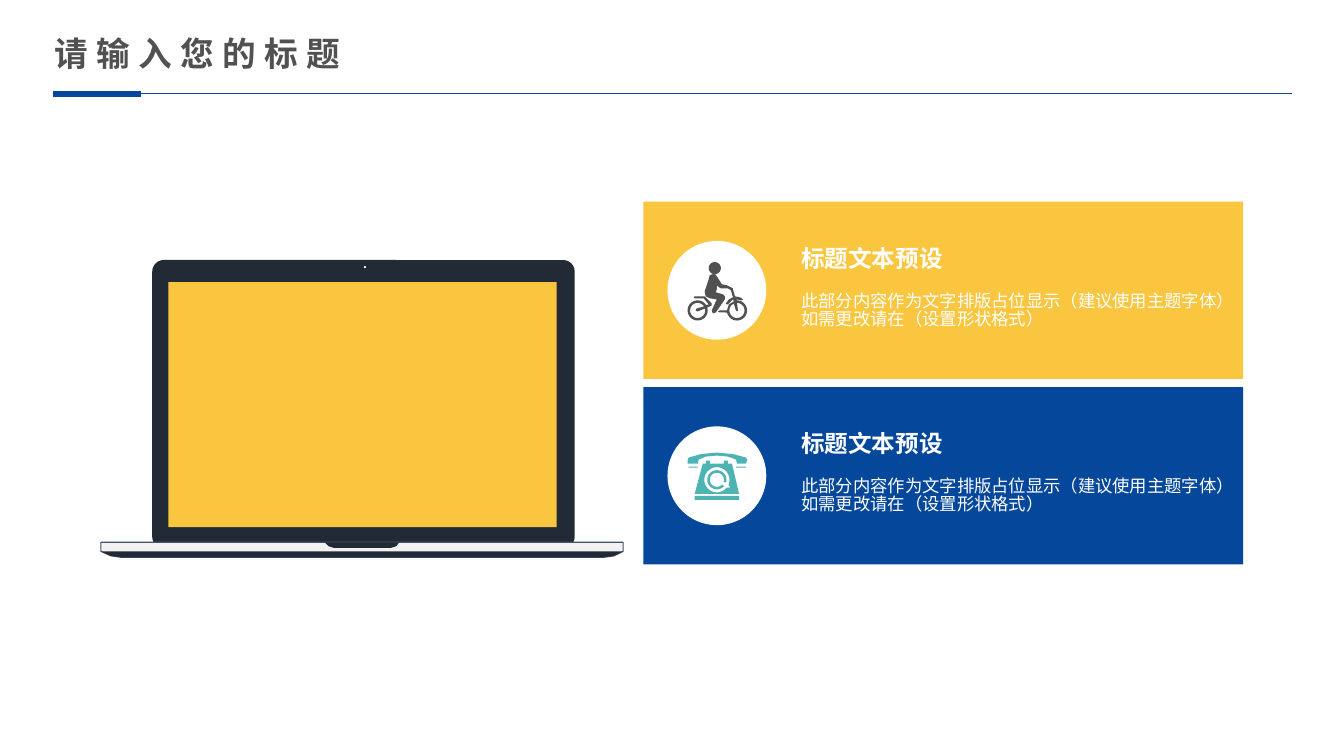
"""Build a slide with a laptop and two captioned feature panels."""
import math

import pptx
import pptx.dml.color
import pptx.enum.shapes
import pptx.enum.text
import pptx.oxml.ns
import pptx.util
from lxml import etree

RGB = pptx.dml.color.RGBColor
BLUE = RGB(0x05, 0x48, 0x9B)
YELLOW = RGB(0xFB, 0xC6, 0x3F)
TEAL = RGB(0x4D, 0xB4, 0xB3)
GREY = RGB(0x51, 0x51, 0x51)
NAVY = RGB(0x22, 0x2A, 0x35)
SLATE = RGB(0x44, 0x54, 0x6A)
PALE = RGB(0xF2, 0xF2, 0xF2)
WHITE = RGB(0xFF, 0xFF, 0xFF)

FONT = "Noto Sans CJK SC"
KIND = pptx.enum.shapes.MSO_SHAPE
ANCHOR = pptx.enum.text.MSO_ANCHOR
COLUMNS, ROWS = 1333, 750
CELL = pptx.util.Inches(0.01)
PANEL_TOP, PANEL_STEP, PANEL_HEIGHT = 200, 184, 176
HEADING = "标题文本预设"
BODY = "此部分内容作为文字排版占位显示（建议使用主题字体）\v如需更改请在（设置形状格式）"


def cells(*counts):
    """Turn counts of grid cells into lengths."""
    return [round(count * CELL) for count in counts]


def arc(x, y, radius, start=0, end=360):
    """Return points along an arc, clockwise in degrees from the right."""
    steps = max(4, round(abs(end - start) / 10))
    angles = [math.radians(start + (end - start) * i / steps) for i in range(steps + 1)]
    return [(x + radius * math.cos(a), y + radius * math.sin(a)) for a in angles]


def box(left, top, right, bottom):
    """Return the corners of a rectangle."""
    return [(left, top), (right, top), (right, bottom), (left, bottom)]


def bike_contours():
    """Return the outlines of the rider on a motorbike."""
    rear_hole = arc(10, 48, 7.5, -15, 328) + [(9, 46), (8, 48), (10, 49)]
    front_hole = arc(49, 48, 7.5, -90, 245) + [(48, 48), (49, 49), (50, 48)]
    rear = [(7, 34), (17, 34), (24, 41), (24, 43), *arc(10, 48, 10, -17, 328),
            (21, 42), (16, 36), (7, 36), (6, 35)]
    rider = [(25, 12), (27, 12), (29, 14), (34, 22), (39, 23), (41, 24), (45, 26),
             (45, 27), (47, 34), (52, 35), (55, 37), (54, 38), (48, 37),
             *arc(49, 48, 10, -90, 168), (32, 50), (30, 49), (32, 48), (39, 48),
             (41, 42), (46, 39), (45, 37), (40, 42), (39, 42), (38, 41), (41, 37),
             (45, 35), (43, 28), (40, 26), (33, 26), (31, 25), (29, 23), (29, 27),
             (28, 30), (35, 32), (37, 34), (37, 37), (28, 50), (25, 51), (24, 48),
             (29, 37), (22, 36), (18, 34), (17, 29), (21, 17), (22, 13)]
    return [rear, rear_hole, front_hole, rider, arc(27, 6, 6)]


def phone_contours():
    """Return the outlines of the dial telephone."""
    handset = [(29, 0), (45, 1.5), (58, 5), (59, 7), (58, 11), (49, 11), (48, 7),
               (40, 4), (29, 3), (18, 4), (11, 7), (10, 11), (0, 11), (0, 7),
               (1, 5), (13, 1.5)]
    case = [(18, 8), (22, 8), (22, 11), (36, 11), (36, 8), (40, 8), (40, 11),
            (44, 11), (51, 41), (7, 41), (15, 11), (18, 11)]
    dial = arc(29, 27, 12.5, 38, 383) + [(42, 34), (41, 35)]
    ring = arc(29, 27, 9.5, 42, 378) + arc(29, 27, 7, 378, 42)
    return [box(7, 43, 51, 47), handset, case, dial, ring,
            box(1, 14, 10, 15), box(48, 14, 58, 15)]


def paint(shape, fill=None, line=None):
    """Give a shape a flat fill or a thin outline."""
    shape.shadow.inherit = False
    if fill is None:
        shape.fill.background()
    else:
        shape.fill.solid()
        shape.fill.fore_color.rgb = fill
    if line is None:
        shape.line.fill.background()
    else:
        shape.line.color.rgb = line
        shape.line.width = pptx.util.Pt(0.79)
    return shape


def add_block(slide, kind, area, fill):
    """Add a flat preset shape on a grid area."""
    return paint(slide.shapes.add_shape(kind, *cells(*area)), fill)


def add_outline(slide, left, top, contours, fill=None, line=None):
    """Add a closed freeform whose contours start from a grid point."""
    first, *others = [[cells(left + x, top + y) for x, y in c] for c in contours]
    builder = slide.shapes.build_freeform(*first[0])
    builder.add_line_segments(first[1:])
    for contour in others:
        builder.move_to(*contour[0])
        builder.add_line_segments(contour[1:])
    return paint(builder.convert_to_shape(), fill, line)


def style_text(frame, size, colour, bold, anchor, inset=None):
    """Format the whole text of a frame."""
    frame.word_wrap = True
    frame.auto_size = pptx.enum.text.MSO_AUTO_SIZE.NONE
    frame.vertical_anchor = anchor
    if inset is not None:
        frame.margin_left = frame.margin_right = inset
        frame.margin_top = frame.margin_bottom = inset
    for paragraph in frame.paragraphs:
        paragraph.alignment = pptx.enum.text.PP_ALIGN.LEFT
        for run in paragraph.runs:
            run.font.name, run.font.size = FONT, pptx.util.Pt(size)
            run.font.bold, run.font.color.rgb = bold, colour
            east_asian = etree.SubElement(run.font._element, pptx.oxml.ns.qn("a:ea"))
            east_asian.set("typeface", FONT)


def add_caption(slide, area, words, size, bold, anchor):
    """Add a white caption in a text box."""
    frame = slide.shapes.add_textbox(*cells(*area)).text_frame
    frame.paragraphs[0].text = words
    style_text(frame, size, WHITE, bold, anchor, cells(10)[0])
    return frame


def add_rule(slide, start, end, row, width):
    """Add a horizontal blue rule."""
    rule = slide.shapes.add_connector(
        pptx.enum.shapes.MSO_CONNECTOR.STRAIGHT, *cells(start, row, end, row))
    rule.line.color.rgb = BLUE
    rule.line.width = pptx.util.Pt(width)
    etree.SubElement(rule._element.spPr, pptx.oxml.ns.qn("a:effectLst"))


def add_laptop(slide):
    """Draw the laptop with its screen, base and camera."""
    lid = add_block(slide, KIND.ROUNDED_RECTANGLE, (151, 258, 419, 286), NAVY)
    lid.adjustments[0] = 0.04
    add_block(slide, KIND.RECTANGLE, (100, 538, 518, 9), PALE)
    tray = [(0, 9), (10, 13.5), (21, 15), (498, 15), (509, 13.5), (518, 9)]
    add_outline(slide, 100, 538, [[(0, 0), *tray, (518, 0), (0, 0)]], line=SLATE)
    add_outline(slide, 100, 538, [tray], NAVY)
    notch = [(0, 0), (4, 4), (9, 5.5), (66, 5.5), (71, 4), (74, 0)]
    add_outline(slide, 322, 538, [notch], NAVY)
    add_block(slide, KIND.OVAL, (361, 264, 2, 2), WHITE)
    add_block(slide, KIND.RECTANGLE, (167, 280, 385, 243), YELLOW)


def add_panel(slide, index, fill, icon, icon_top, icon_fill):
    """Add one coloured panel with its icon, heading and body."""
    top = PANEL_TOP + index * PANEL_STEP
    add_block(slide, KIND.RECTANGLE, (638, top, 595, PANEL_HEIGHT), fill)
    add_block(slide, KIND.OVAL, (662, top + 39, 98, 98), WHITE)
    add_outline(slide, 682, top + icon_top, icon, icon_fill)
    add_caption(slide, (785, top + 34, 460, 46), HEADING, 16.8, True, ANCHOR.BOTTOM)
    body = add_caption(slide, (785, top + 81, 460, 62), BODY, 12.4, False, ANCHOR.TOP)
    body.paragraphs[0].line_spacing = 0.85


def add_title(slide):
    """Place the title and the rules below it."""
    add_rule(slide, 53, 140, 93, 4.5)
    add_rule(slide, 140, 1281, 93, 0.5)
    title = slide.shapes.title
    title.left, title.top, title.width, title.height = cells(44, 28, 350, 50)
    title.text_frame.text = "请输入您的标题"
    style_text(title.text_frame, 24, GREY, True, ANCHOR.MIDDLE)
    title.text_frame.paragraphs[0].runs[0].font._element.set("spc", "600")


def main():
    """Build and save the slide."""
    deck = pptx.Presentation()
    deck.slide_width, deck.slide_height = cells(COLUMNS, ROWS)
    slide = deck.slides.add_slide(deck.slide_layouts.get_by_name("Title Only"))
    add_laptop(slide)
    add_panel(slide, 0, YELLOW, bike_contours(), 60, GREY)
    add_panel(slide, 1, BLUE, phone_contours(), 65, TEAL)
    add_title(slide)
    deck.save("out.pptx")


if __name__ == "__main__":
    main()
